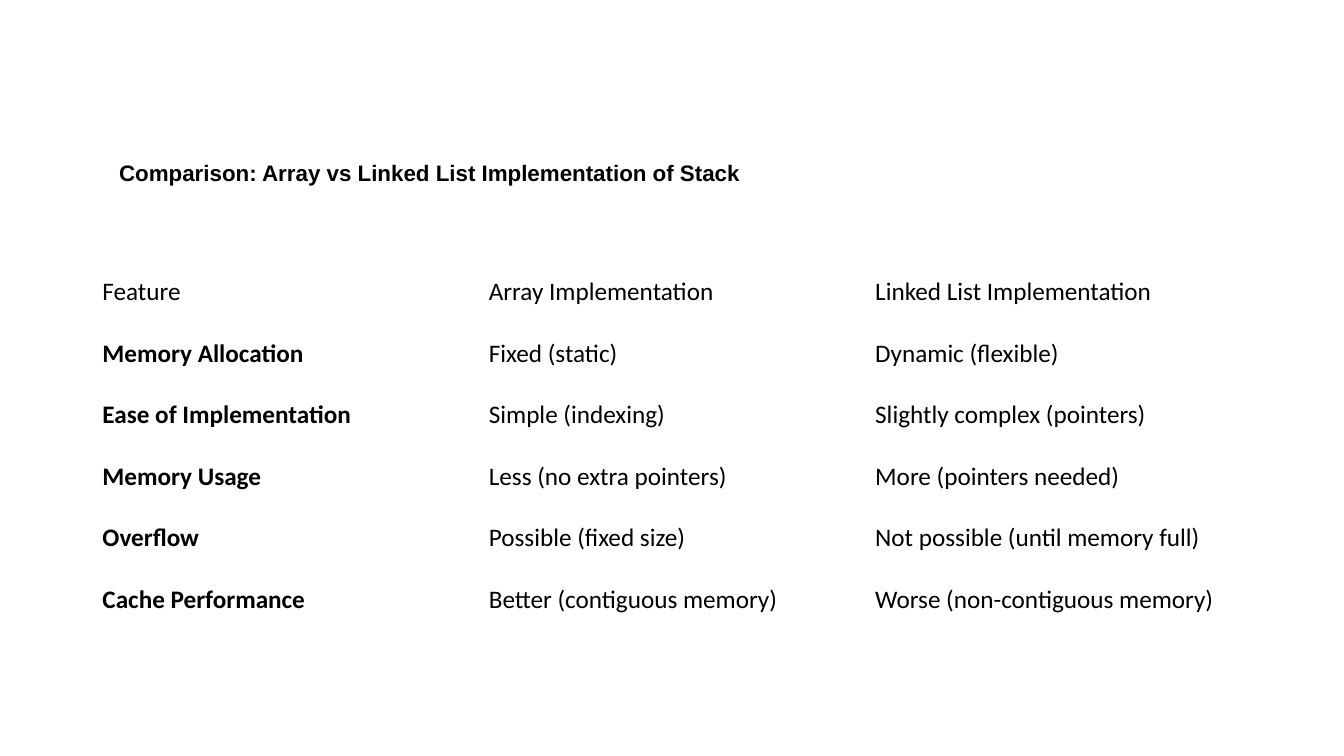
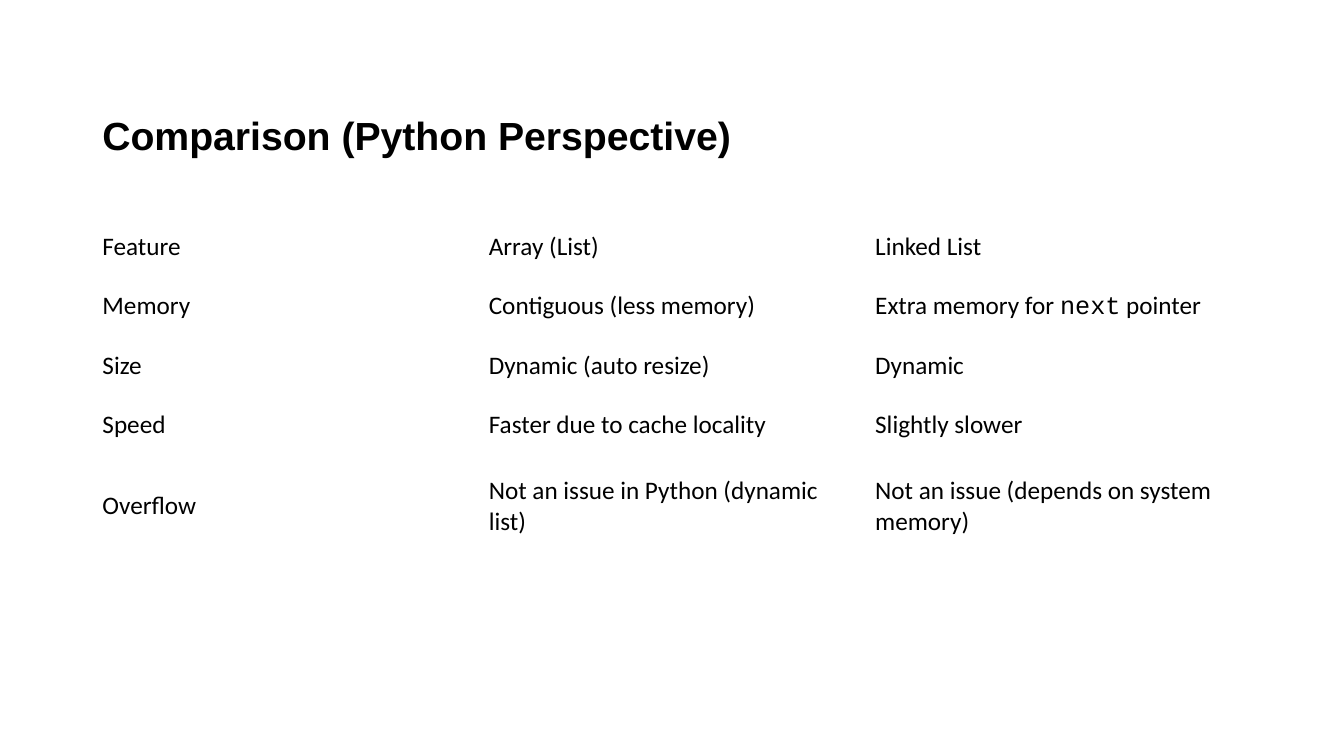
"""Build two slides comparing array and linked list implementations."""
from dataclasses import dataclass

from pptx import Presentation
from pptx.dml.color import RGBColor
from pptx.enum.text import MSO_ANCHOR
from pptx.slide import Slide
from pptx.util import Pt

BLACK = RGBColor(0x00, 0x00, 0x00)
TITLE_FONT, BODY_FONT, CODE_FONT = "Arial", "Calibri", "Courier New"
BODY_SIZE = 18
LEFT = 66
COL_WIDTH = 276


@dataclass(frozen=True)
class Title:
    text: str
    left: float
    top: float
    width: float
    height: float
    size: float


@dataclass(frozen=True)
class Comparison:
    title: Title
    top: float
    row_heights: list[float]
    rows: list[tuple[str, str, str]]
    bold_features: bool = False
    code_word: str = ""


COMPARISONS = [
    Comparison(
        Title("Comparison: Array vs Linked List Implementation of Stack", 78, 105, 828, 36, 16),
        186.5,
        [44] * 6,
        [
            ("Feature", "Array Implementation", "Linked List Implementation"),
            ("Memory Allocation", "Fixed (static)", "Dynamic (flexible)"),
            ("Ease of Implementation", "Simple (indexing)", "Slightly complex (pointers)"),
            ("Memory Usage", "Less (no extra pointers)", "More (pointers needed)"),
            ("Overflow", "Possible (fixed size)", "Not possible (until memory full)"),
            ("Cache Performance", "Better (contiguous memory)", "Worse (non-contiguous memory)"),
        ],
        bold_features=True,
    ),
    Comparison(
        Title("Comparison (Python Perspective)", LEFT, 75, 624, 43, 28),
        154.8,
        [42.5] * 4 + [73.5],
        [
            ("Feature", "Array (List)", "Linked List"),
            ("Memory", "Contiguous (less memory)", "Extra memory for next pointer"),
            ("Size", "Dynamic (auto resize)", "Dynamic"),
            ("Speed", "Faster due to cache locality", "Slightly slower"),
            ("Overflow", "Not an issue in Python (dynamic list)",
             "Not an issue (depends on system memory)"),
        ],
        code_word="next",
    ),
]


def set_font(font, name: str, size: float, bold: bool) -> None:
    font.name = name
    font.size = Pt(size)
    font.bold = bold
    font.color.rgb = BLACK


def add_title(s: Slide, title: Title) -> None:
    sp = s.shapes.add_textbox(Pt(title.left), Pt(title.top), Pt(title.width), Pt(title.height))
    tf = sp.text_frame
    tf.word_wrap = True
    tf.vertical_anchor = MSO_ANCHOR.MIDDLE
    p = tf.paragraphs[0]
    p.text = title.text
    set_font(p.font, TITLE_FONT, title.size, True)


def fill_cell(cell, text: str, bold: bool, code_word: str) -> None:
    cell.fill.background()
    cell.vertical_anchor = MSO_ANCHOR.MIDDLE
    p = cell.text_frame.paragraphs[0]
    before, code, after = text.partition(code_word) if code_word else (text, "", "")
    for part, name in ((before, BODY_FONT), (code, CODE_FONT), (after, BODY_FONT)):
        if part:
            r = p.add_run()
            r.text = part
            set_font(r.font, name, BODY_SIZE, bold)


def add_comparison_table(s: Slide, comparison: Comparison) -> None:
    rows = comparison.rows
    n_cols = len(rows[0])
    table = s.shapes.add_table(
        len(rows), n_cols, Pt(LEFT), Pt(comparison.top),
        Pt(COL_WIDTH * n_cols), Pt(sum(comparison.row_heights)),
    ).table
    table.first_row = False
    table.horz_banding = False
    for col in table.columns:
        col.width = Pt(COL_WIDTH)
    for i, (values, height) in enumerate(zip(rows, comparison.row_heights)):
        table.rows[i].height = Pt(height)
        for j, text in enumerate(values):
            bold = comparison.bold_features and i > 0 and j == 0
            fill_cell(table.cell(i, j), text, bold, comparison.code_word)


def main() -> None:
    prs = Presentation()
    prs.slide_width, prs.slide_height = Pt(960), Pt(540)
    for comparison in COMPARISONS:
        s = prs.slides.add_slide(prs.slide_layouts[6])
        add_comparison_table(s, comparison)
        add_title(s, comparison.title)
    prs.save("out.pptx")


if __name__ == "__main__":
    main()
